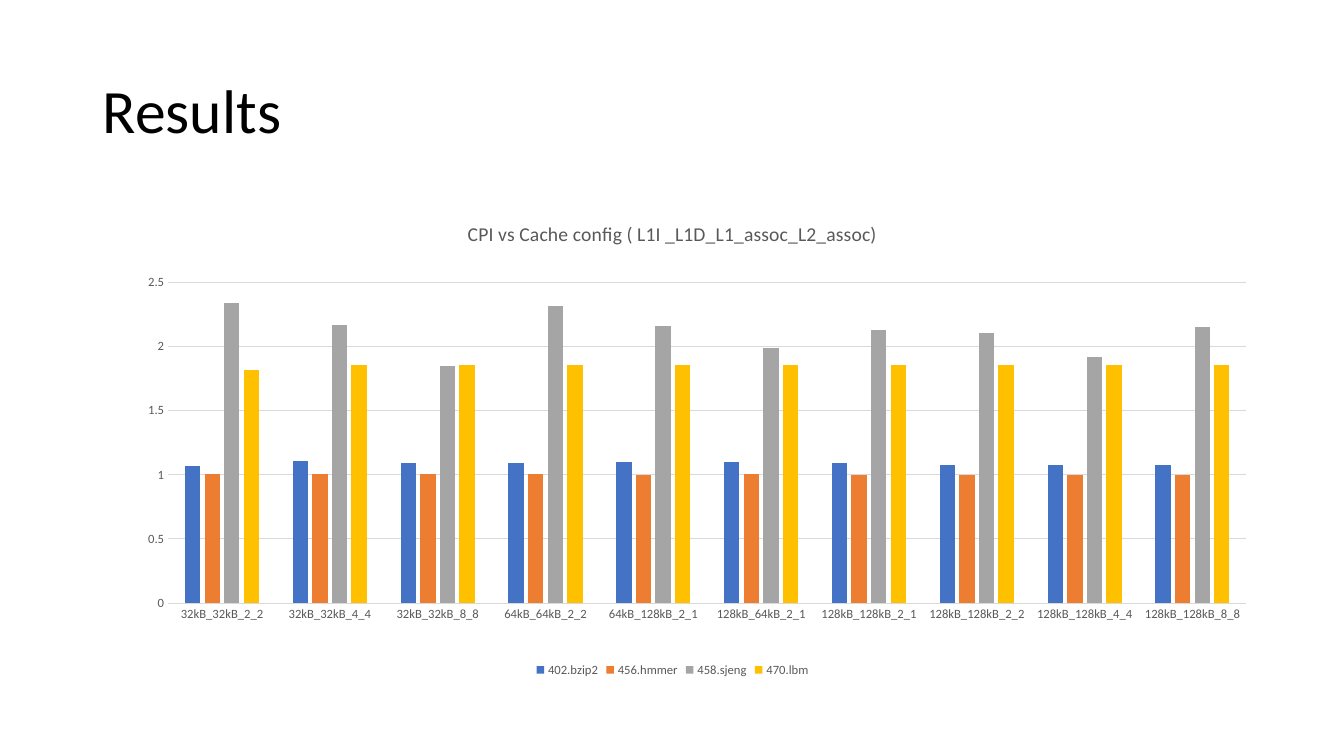
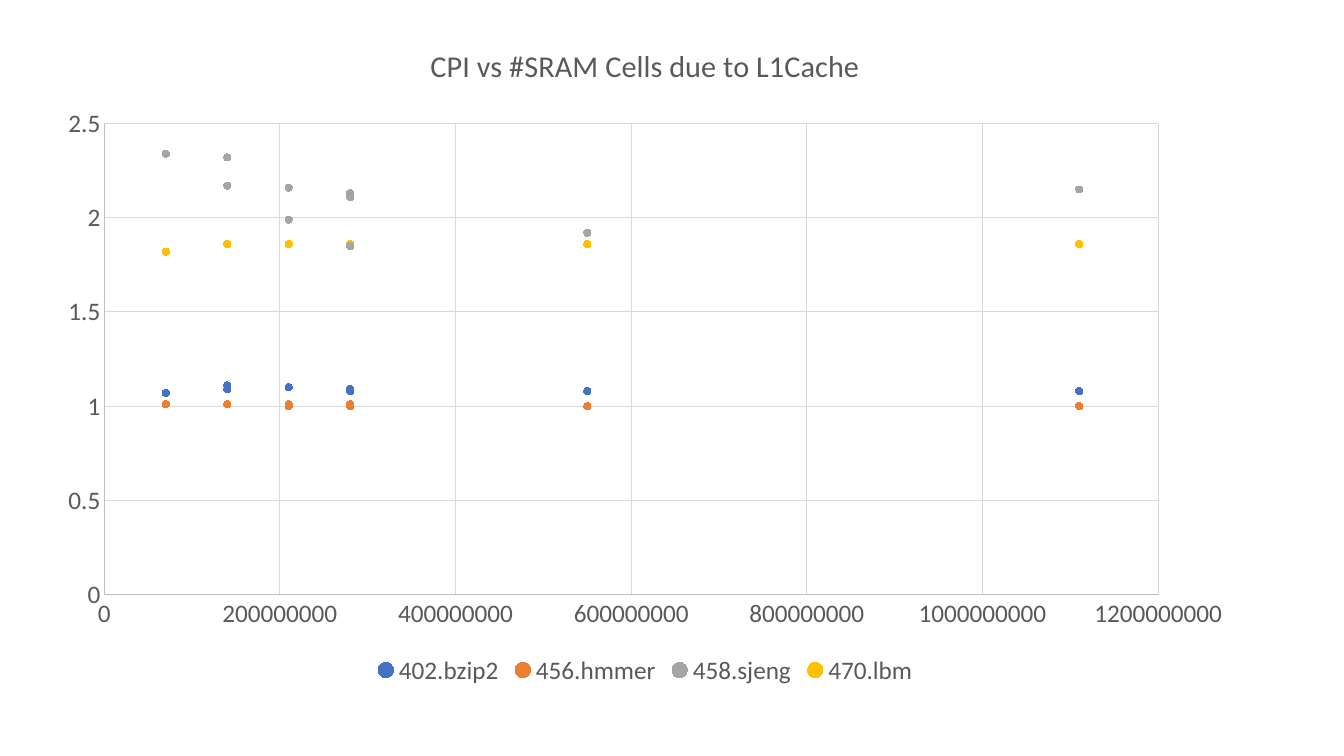
"""Build two slides that compare CPI across cache configurations."""
from lxml.etree import SubElement
from pptx import Presentation
from pptx.chart.data import CategoryChartData, XyChartData
from pptx.dml.color import RGBColor
from pptx.enum.chart import (XL_CHART_TYPE, XL_LEGEND_POSITION,
                             XL_MARKER_STYLE, XL_TICK_MARK)
from pptx.enum.text import MSO_ANCHOR, MSO_AUTO_SIZE, PP_ALIGN
from pptx.oxml.ns import qn
from pptx.util import Inches, Pt

TITLE = "Results"
BAR_TITLE = "CPI vs Cache config ( L1I _L1D_L1_assoc_L2_assoc)"
SCATTER_TITLE = "CPI vs #SRAM Cells due to L1Cache"
CONFIGS = ["32kB_32kB_2_2", "32kB_32kB_4_4", "32kB_32kB_8_8", "64kB_64kB_2_2",
           "64kB_128kB_2_1", "128kB_64kB_2_1", "128kB_128kB_2_1",
           "128kB_128kB_2_2", "128kB_128kB_4_4", "128kB_128kB_8_8"]
MILLION = 1_000_000
SRAM_MILLIONS = [70, 140, 280, 140, 210, 210, 280, 280, 550, 1110]
BENCHMARKS = [
    ("402.bzip2", "4472C4", [1.07, 1.11, 1.09, 1.09, 1.1, 1.1, 1.09, 1.08, 1.08, 1.08]),
    ("456.hmmer", "ED7D31", [1.01, 1.01, 1.01, 1.01, 1, 1.01, 1, 1, 1, 1]),
    ("458.sjeng", "A5A5A5", [2.34, 2.17, 1.85, 2.32, 2.16, 1.99, 2.13, 2.11, 1.92, 2.15]),
    ("470.lbm", "FFC000", [1.82] + [1.86] * 9),
]
FONT, BLACK, GREY, GRID, AXIS = "Calibri", "000000", "595959", "D9D9D9", "BFBFBF"
TITLE_BOX = (0.92, 0.4, 11.5, 1.45)
BAR_BOX = (0.92, 2, 11.5, 4.76)
SCATTER_BOX = (0.44, 0.2, 11.92, 6.65)
BAR_PLOT = {"x": 0.065, "y": 0.169, "w": 0.93, "h": 0.668}


def rgb(value):
    """Turn a hex string into a colour."""
    return RGBColor.from_string(value)


def set_font(font, size, color):
    """Apply the shared typeface with a size and colour."""
    font.name, font.size, font.bold = FONT, Pt(size), False
    font.color.rgb = rgb(color)


def set_line(line, color):
    """Draw a thin line, or none without a colour."""
    if color:
        line.color.rgb, line.width = rgb(color), Pt(0.75)
    else:
        line.fill.background()


def style_axis(axis, size, line, grid):
    """Format an axis with its labels and gridlines."""
    axis.major_tick_mark = axis.minor_tick_mark = XL_TICK_MARK.NONE
    set_font(axis.tick_labels.font, size, GREY)
    set_line(axis.format.line, line)
    axis.has_major_gridlines = bool(grid)
    if grid:
        set_line(axis.major_gridlines.format.line, grid)


def set_scale(axis, top, step):
    """Start an axis at zero and fix its end and step."""
    axis.minimum_scale, axis.maximum_scale, axis.major_unit = 0, top, step
    axis.tick_labels.number_format = "General"
    axis.tick_labels.number_format_is_linked = False


def add_chart(s, kind, box, data, title, title_size, size):
    """Add a chart with the shared title, legend and value scale."""
    chart = s.shapes.add_chart(kind, *map(Inches, box), data).chart
    set_font(chart.font, size, BLACK)
    chart.has_title = True
    tf = chart.chart_title.text_frame
    tf.text = title
    set_font(tf.paragraphs[0].runs[0].font, title_size, GREY)
    chart.chart_title.include_in_layout = False
    chart.has_legend = True
    chart.legend.position = XL_LEGEND_POSITION.BOTTOM
    chart.legend.include_in_layout = False
    set_font(chart.legend.font, size, GREY)
    chart.plots[0].vary_by_categories = False
    set_scale(chart.value_axis, 2.5, 0.5)
    return chart


def place_plot(chart, shares):
    """Fix the inner plot area as shares of the chart."""
    area = chart.plots[0]._element.getparent()
    for old in area.findall(qn("c:layout")):
        area.remove(old)
    layout = SubElement(area, qn("c:layout"))
    area.insert(0, layout)
    manual = SubElement(layout, qn("c:manualLayout"))
    settings = [("layoutTarget", "inner"), ("xMode", "edge"), ("yMode", "edge")]
    for tag, value in settings + list(shares.items()):
        SubElement(manual, qn("c:" + tag)).set("val", str(value))


def add_title(s, text):
    """Fill and format the title placeholder."""
    sp = s.shapes.title
    sp.left, sp.top, sp.width, sp.height = map(Inches, TITLE_BOX)
    tf = sp.text_frame
    tf.text = text
    tf.auto_size, tf.vertical_anchor = MSO_AUTO_SIZE.NONE, MSO_ANCHOR.MIDDLE
    p = tf.paragraphs[0]
    p.alignment, p.line_spacing = PP_ALIGN.LEFT, 0.9
    set_font(p.runs[0].font, 44, BLACK)


def add_bar_slide(prs):
    """Show CPI by cache configuration as clustered columns."""
    s = prs.slides.add_slide(prs.slide_layouts[5])
    add_title(s, TITLE)
    data = CategoryChartData()
    data.categories = CONFIGS
    for name, _, cpi in BENCHMARKS:
        data.add_series(name, cpi)
    chart = add_chart(s, XL_CHART_TYPE.COLUMN_CLUSTERED, BAR_BOX, data,
                      BAR_TITLE, 14, 9)
    style_axis(chart.category_axis, 9, GRID, None)
    style_axis(chart.value_axis, 9, None, GRID)
    plot = chart.plots[0]
    plot.gap_width, plot.overlap = 219, -27
    for series, (_, color, _) in zip(plot.series, BENCHMARKS):
        series.format.fill.solid()
        series.format.fill.fore_color.rgb = rgb(color)
    place_plot(chart, BAR_PLOT)


def add_scatter_slide(prs):
    """Show CPI by number of SRAM cells as a scatter chart."""
    s = prs.slides.add_slide(prs.slide_layouts[6])
    data = XyChartData()
    for name, _, cpi in BENCHMARKS:
        points = data.add_series(name)
        for cells, value in zip(SRAM_MILLIONS, cpi):
            points.add_data_point(cells * MILLION, value)
    chart = add_chart(s, XL_CHART_TYPE.XY_SCATTER, SCATTER_BOX, data,
                      SCATTER_TITLE, 21.6, 18)
    set_scale(chart.category_axis, 1200 * MILLION, 200 * MILLION)
    for axis in (chart.category_axis, chart.value_axis):
        style_axis(axis, 18, AXIS, GRID)
    for series, (_, color, _) in zip(chart.plots[0].series, BENCHMARKS):
        series.smooth = False
        series.format.line.fill.background()
        marker = series.marker
        marker.style, marker.size = XL_MARKER_STYLE.CIRCLE, 5
        marker.format.fill.solid()
        marker.format.fill.fore_color.rgb = rgb(color)
        set_line(marker.format.line, color)


def main():
    """Build and save the presentation."""
    prs = Presentation()
    prs.slide_width, prs.slide_height = Inches(13.33), Inches(7.5)
    add_bar_slide(prs)
    add_scatter_slide(prs)
    prs.save("out.pptx")


main()
